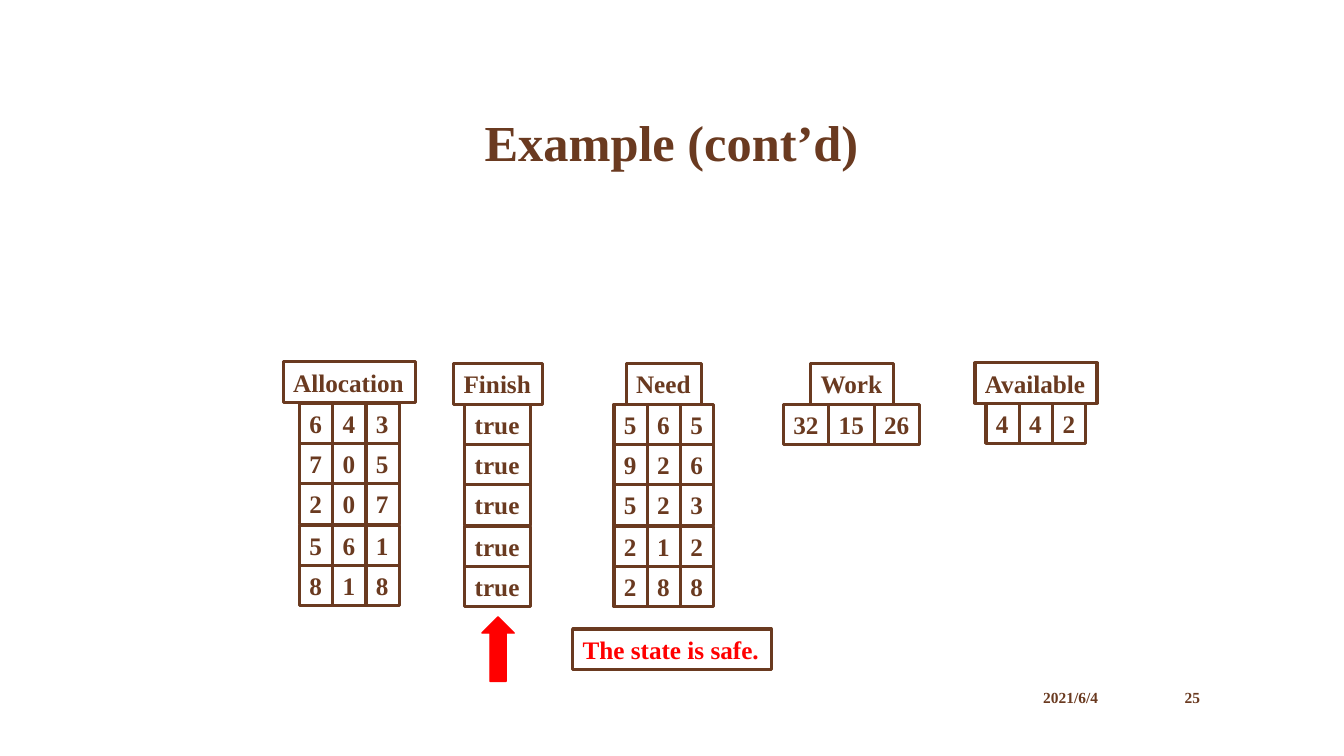
"""Build the slide that shows the final safe state of the resource example."""
from pptx import Presentation
from pptx.dml.color import RGBColor
from pptx.enum.shapes import MSO_SHAPE as SHAPE
from pptx.enum.text import MSO_ANCHOR as ANCHOR, MSO_AUTO_SIZE as AUTO, PP_ALIGN as ALIGN
from pptx.util import Pt

PX = 9144
FONT = "Times New Roman"
BROWN = RGBColor(0x6A, 0x3A, 0x20)
RED = RGBColor(0xFF, 0x00, 0x00)
WHITE = RGBColor(0xFF, 0xFF, 0xFF)
BOX_H = 40

GRIDS = [
    ("Allocation", (281, 359, 131), (297, 400, 33), ["643", "705", "207", "561", "818"]),
    ("Need", (621, 361, 75), (609, 401, 33), ["565", "926", "523", "212", "288"]),
    ("Work", (804, 361, 82), (777, 401, 45), [["32", "15", "26"]]),
    ("Available", (967, 360, 121), (978, 400, 33), ["442"]),
    ("Finish", (450, 361, 88), (461, 401, 65), [["true"]] * 5),
]


def px(*lengths):
    """Turn pixel lengths into EMU."""
    return [n * PX for n in lengths]


def write(sp, text, size, color, align, anchor):
    """Put one formatted line of text into a shape."""
    tf = sp.text_frame
    tf.text = text
    tf.vertical_anchor = anchor
    p = tf.paragraphs[0]
    p.alignment = align
    font = p.runs[0].font
    font.name, font.size, font.bold = FONT, Pt(size), True
    font.color.rgb = color


def add_label(s, text, box, size, align, anchor=ANCHOR.MIDDLE):
    """Add a plain text box."""
    sp = s.shapes.add_textbox(*px(*box))
    sp.text_frame.word_wrap = True
    write(sp, text, size, BROWN, align, anchor)


def add_filled(s, kind, box, fill, line, width):
    """Add a preset shape with a flat fill and outline."""
    sp = s.shapes.add_shape(kind, *px(*box))
    sp.shadow.inherit = False
    sp.fill.solid()
    sp.fill.fore_color.rgb = fill
    sp.line.color.rgb = line
    sp.line.width = Pt(width)
    return sp


def add_box(s, text, left, top, width, color=BROWN):
    """Add an outlined box with text."""
    sp = add_filled(s, SHAPE.RECTANGLE, (left, top, width, BOX_H), WHITE, BROWN, 2.25)
    sp.text_frame.word_wrap = False
    sp.text_frame.auto_size = AUTO.SHAPE_TO_FIT_TEXT
    write(sp, text, 18, color, ALIGN.LEFT, ANCHOR.TOP)


def add_grid(s, name, header, first_cell, rows):
    """Add a grid of boxes under a header box."""
    left, top, width = first_cell
    for i, row in enumerate(rows):
        for j, value in enumerate(row):
            add_box(s, value, left + j * width, top + i * 202 // 5, width)
    add_box(s, name, *header)


def main():
    """Build and save the slide."""
    prs = Presentation()
    prs.slide_width, prs.slide_height = px(1333, 750)
    s = prs.slides.add_slide(prs.slide_layouts[6])
    add_label(s, "Example (cont’d)", (133, 47, 1066, 128), 36, ALIGN.CENTER, ANCHOR.BOTTOM)
    add_label(s, "2021/6/4", (966, 675, 133, 33), 11, ALIGN.RIGHT)
    add_label(s, "25", (1122, 675, 78, 33), 11, ALIGN.RIGHT)
    for grid in GRIDS:
        add_grid(s, *grid)
    arrow = add_filled(s, SHAPE.RIGHT_ARROW, (462, 628, 64, 32), RED, RED, 1)
    arrow.rotation = 270
    add_box(s, "The state is safe.", 568, 624, 197, RED)
    prs.save("out.pptx")


if __name__ == "__main__":
    main()
